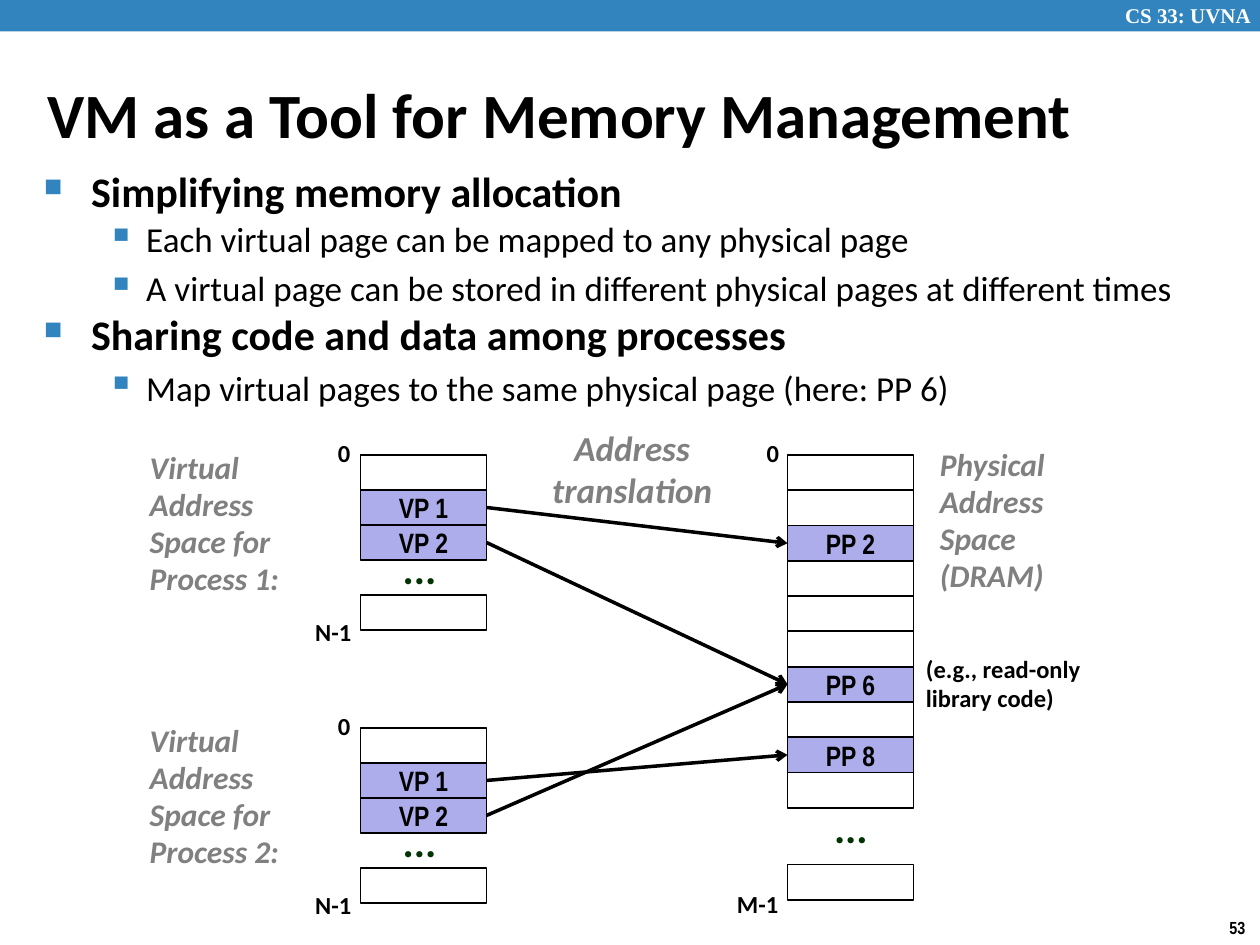
from lxml import etree
from pptx import Presentation
from pptx.dml.color import RGBColor
from pptx.enum.shapes import MSO_CONNECTOR, MSO_SHAPE
from pptx.enum.text import MSO_ANCHOR, PP_ALIGN
from pptx.oxml.ns import qn
from pptx.util import Pt

RECTANGLE = MSO_SHAPE.RECTANGLE
STRAIGHT = MSO_CONNECTOR.STRAIGHT
TOP, MIDDLE = MSO_ANCHOR.TOP, MSO_ANCHOR.MIDDLE
LEFT, CENTER = PP_ALIGN.LEFT, PP_ALIGN.CENTER

BLUE = RGBColor(0x32, 0x84, 0xBF)
LILAC = RGBColor(0xAD, 0xAD, 0xEB)
GRAY = RGBColor(0x80, 0x80, 0x80)
GREEN = RGBColor(0x00, 0x33, 0x00)
BLACK = RGBColor(0, 0, 0)
WHITE = RGBColor(255, 255, 255)

deck = Presentation()
deck.slide_width, deck.slide_height = Pt(720), Pt(540)
page = deck.slides.add_slide(deck.slide_layouts[6])


def write_text(text, *, box=None, at=None, size=14, font="Calibri", color=BLACK,
               bold=True, italic=False, align=LEFT, anchor=TOP, wrap=True,
               spacing=None, before=None):
    """Write one paragraph per line into a shape, or into a new text box."""
    if box is None:
        box = page.shapes.add_textbox(*map(Pt, at))
    frame = box.text_frame
    frame.word_wrap = wrap
    frame.vertical_anchor = anchor
    for number, line in enumerate(text.split("\n")):
        para = frame.paragraphs[0] if number == 0 else frame.add_paragraph()
        para.alignment = align
        para.line_spacing = spacing
        if before is not None:
            para.space_before = Pt(before)
        span = para.add_run()
        span.text = line
        span.font.name = font
        span.font.size = Pt(size)
        span.font.bold = bold
        span.font.italic = italic
        span.font.color.rgb = color


def add_cells(left, top, height, labels):
    """Stack memory cells; None leaves a gap, a label gives a filled cell."""
    for row, label in enumerate(labels):
        if label is None:
            continue
        cell = page.shapes.add_shape(
            RECTANGLE, Pt(left), Pt(top + row * height), Pt(CELL_WIDTH), Pt(height))
        cell.shadow.inherit = False
        cell.line.color.rgb = BLACK
        cell.line.width = Pt(1)
        if label:
            cell.fill.solid()
            cell.fill.fore_color.rgb = LILAC
            write_text(label, box=cell, size=16, font="Arial Narrow",
                       align=CENTER, anchor=MIDDLE)
        else:
            cell.fill.background()


# Header bar, page number and title
bar = page.shapes.add_shape(RECTANGLE, 0, 0, Pt(720), Pt(18))
bar.shadow.inherit = False
bar.fill.solid()
bar.fill.fore_color.rgb = BLUE
bar.line.fill.background()
write_text("CS 33: UVNA", at=(635.8, -2, 89, 21.6), size=12,
           font="Times New Roman", color=WHITE)
write_text("53", at=(695.5, 520.5, 24.5, 19.5), size=10,
           font="Arial Narrow", wrap=False)
write_text("VM as a Tool for Memory Management", at=(20, 42, 678, 45),
           size=36, anchor=MIDDLE)

# Bullets: text, level, line spacing
BULLETS = [
    ("Simplifying memory allocation", 0, 0.83),
    ("Each virtual page can be mapped to any physical page", 1, 0.88),
    ("A virtual page can be stored in different physical pages at different times", 1, 1.0),
    ("Sharing code and data among processes", 0, 0.83),
    ("Map virtual pages to the same physical page (here: PP 6)", 1, 1.0),
]
# Per level: text size, left margin, hanging indent, bullet, bullet percentage
LEVELS = [(24, 27, 27, "\u25a0", 60), (20, 58.5, 22.5, "\u25aa", 110)]

body = page.shapes.add_textbox(Pt(18), Pt(96), Pt(690), Pt(150))
write_text("\n".join(text for text, _, _ in BULLETS), box=body)
for para, (_, level, spacing) in zip(body.text_frame.paragraphs, BULLETS):
    size, margin, hanging, mark, percent = LEVELS[level]
    para.level = level
    para.line_spacing = spacing
    para.space_before = Pt(size * 0.2)
    para.runs[0].font.size = Pt(size)
    para.runs[0].font.bold = level == 0
    properties = para._p.get_or_add_pPr()
    properties.set("marL", str(Pt(margin)))
    properties.set("indent", str(-Pt(hanging)))
    bullet_color = etree.SubElement(properties, qn("a:buClr"))
    etree.SubElement(bullet_color, qn("a:srgbClr"), val=str(BLUE))
    etree.SubElement(properties, qn("a:buSzPct"), val=str(percent * 1000))
    etree.SubElement(properties, qn("a:buChar"), char=mark)

# Virtual address spaces
CELL_WIDTH = 72
VIRTUAL_LEFT, PHYSICAL_LEFT = 206, 450
VIRTUAL_ROW, PHYSICAL_ROW = 20, 20.16
MEMORY_TOP, PROCESS_STEP = 260, 156
CAPTION = dict(size=18, color=GRAY, italic=True, spacing=0.98)
INDEX = dict(size=14, spacing=0.98, wrap=False)
DOTS = dict(size=24, color=GREEN, spacing=0.88, before=9, wrap=False)

for process in range(2):
    top = MEMORY_TOP + process * PROCESS_STEP
    write_text(f"Virtual Address Space for Process {process + 1}:",
               at=(78.5, top - 6.5, 108, 92), **CAPTION)
    write_text("0", at=(186, top - 12.5, 22, 24), **INDEX)
    write_text("N-1", at=(173, top + 90, 35, 24), **INDEX)
    add_cells(VIRTUAL_LEFT, top, VIRTUAL_ROW, ["", "VP 1", "VP 2", None, ""])
    write_text("...", at=(223, top + 50, 34, 32), **DOTS)

# Physical address space
add_cells(PHYSICAL_LEFT, MEMORY_TOP, PHYSICAL_ROW,
          ["", "", "PP 2", "", "", "", "PP 6", "", "PP 8", ""])
add_cells(PHYSICAL_LEFT, 494, PHYSICAL_ROW, [""])
write_text("...", at=(469.5, 458, 34, 32), **DOTS)
write_text("0", at=(431, 247.5, 22, 24), **INDEX)
write_text("M-1", at=(414, 505.5, 38, 24), **INDEX)
write_text("Physical\nAddress\nSpace (DRAM)", at=(530, 252, 84, 93), **CAPTION)
write_text("(e.g., read-only\nlibrary code)", at=(522, 371, 114.5, 40), spacing=0.98)

# Mappings: process, virtual page, physical page
for process, virtual, physical in [(0, 1, 2), (0, 2, 6), (1, 2, 6), (1, 1, 8)]:
    start = MEMORY_TOP + process * PROCESS_STEP + (virtual + 0.5) * VIRTUAL_ROW
    end = MEMORY_TOP + (physical + 0.5) * PHYSICAL_ROW
    arrow = page.shapes.add_connector(
        STRAIGHT, Pt(VIRTUAL_LEFT + CELL_WIDTH), Pt(start), Pt(PHYSICAL_LEFT), Pt(end))
    arrow.line.color.rgb = BLACK
    arrow.line.width = Pt(2)
    etree.SubElement(arrow.line._get_or_add_ln(), qn("a:tailEnd"), type="arrow")
    etree.SubElement(arrow._element.spPr, qn("a:effectLst"))

write_text("Address\ntranslation", at=(308, 240, 106.5, 55.5), size=20,
           color=GRAY, italic=True, align=CENTER, wrap=False)

deck.save("out.pptx")
